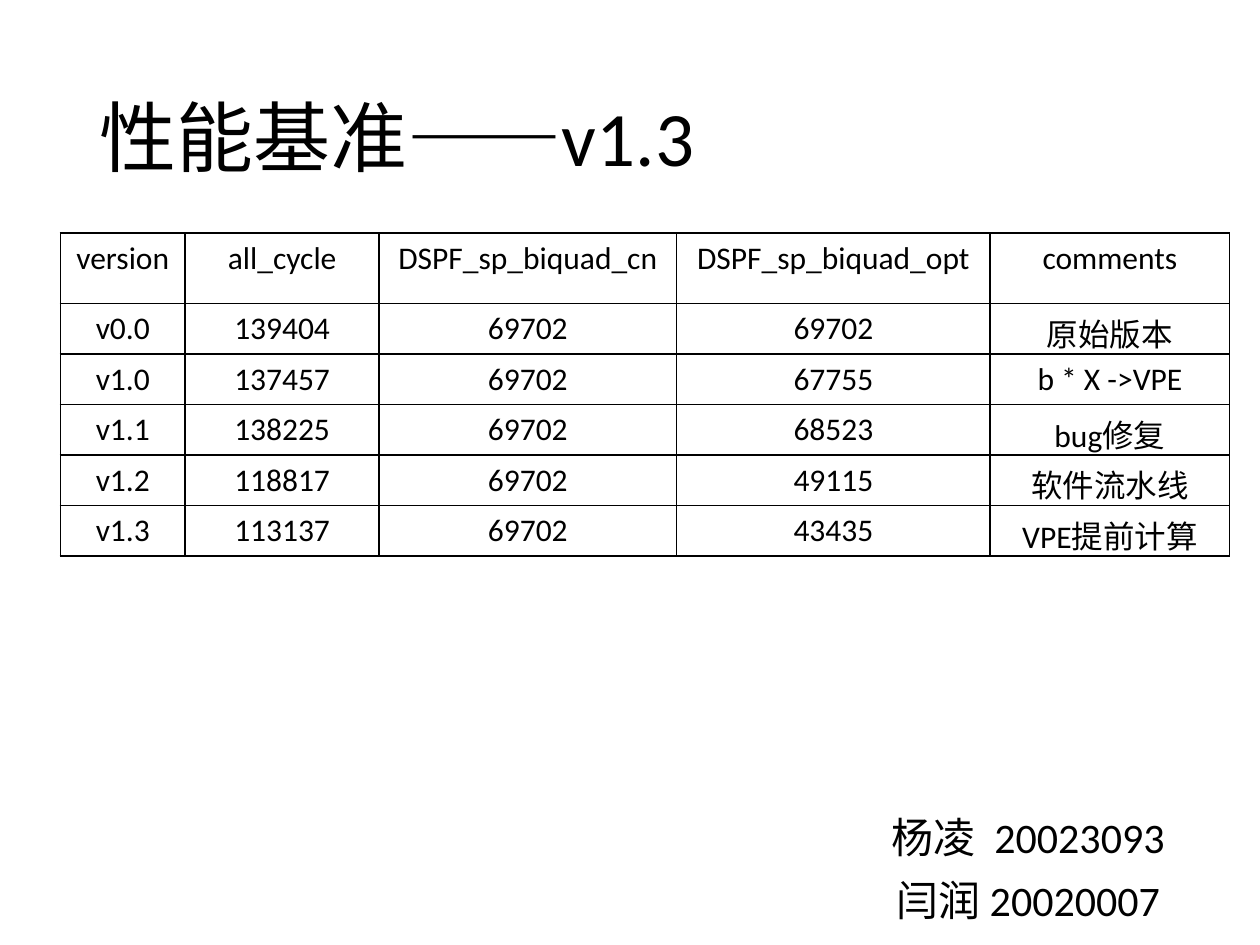
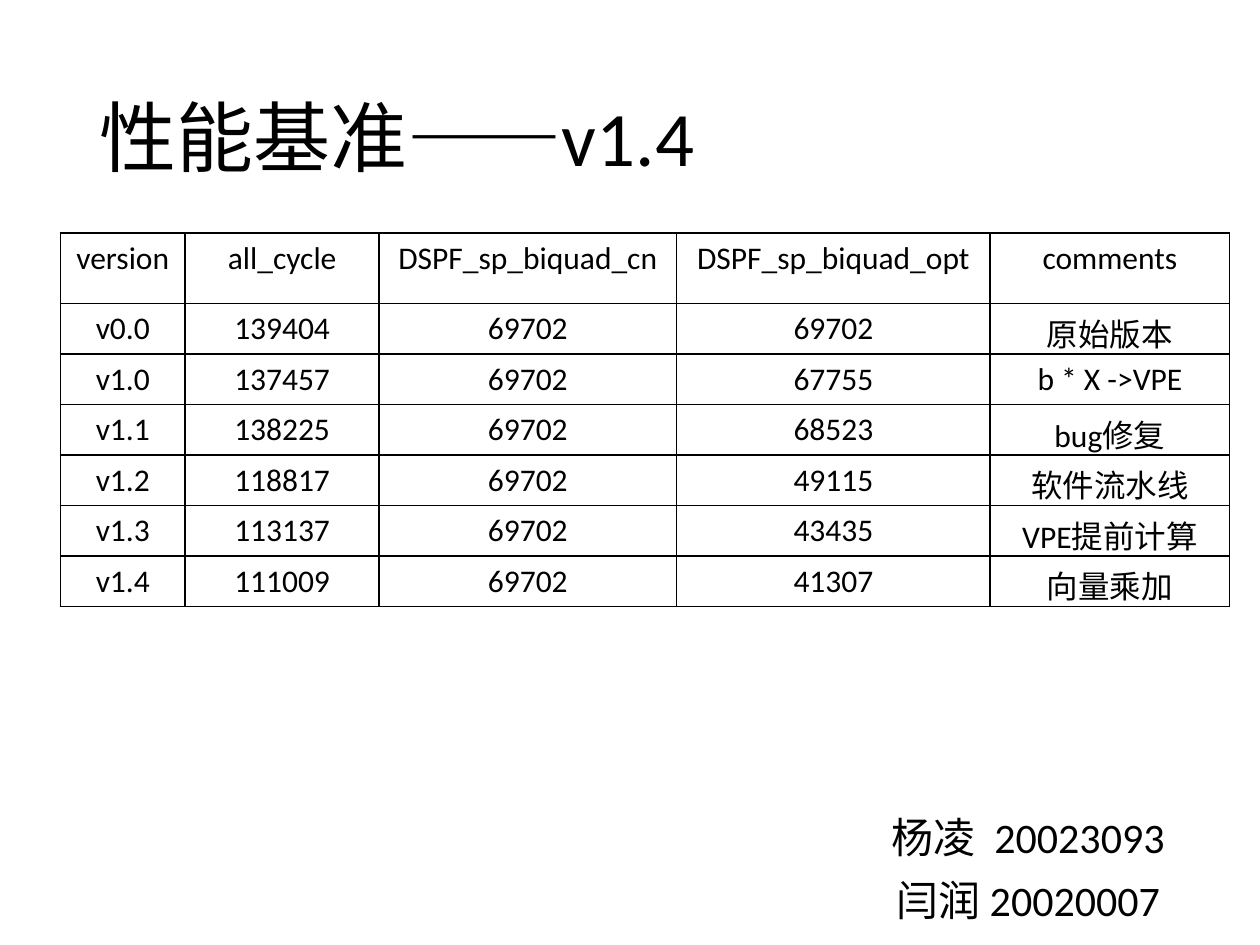
from lxml import etree
from pptx import Presentation
from pptx.dml.color import RGBColor
from pptx.enum.text import MSO_ANCHOR, PP_ALIGN
from pptx.oxml.ns import qn
from pptx.util import Inches, Pt

BLACK = RGBColor(0x00, 0x00, 0x00)
WHITE = RGBColor(0xFF, 0xFF, 0xFF)
FONT = "Calibri"

TITLE_BOX = (0.69, 0.4, 8.62, 1.45)
AUTHORS_BOX = (6.32, 6.44, 3.68, 1.06)
TABLE_LEFT, TABLE_TOP = 0.48, 1.85
COL_WIDTHS = (0.99, 1.54, 2.36, 2.49, 1.9)
HEADER_HEIGHT, ROW_HEIGHT = 0.56, 0.35

TITLE_PARA = {"alignment": PP_ALIGN.LEFT, "line_spacing": 0.9}
AUTHOR_PARA = {"alignment": PP_ALIGN.CENTER, "line_spacing": 0.9, "space_before": Pt(10)}
CELL_PARA = {"alignment": PP_ALIGN.CENTER}

AUTHORS = ("杨凌  20023093", "闫润 20020007")
HEADER = ("version", "all_cycle", "DSPF_sp_biquad_cn", "DSPF_sp_biquad_opt", "comments")
BENCHMARKS = (
    ("v0.0", "139404", "69702", "69702", "原始版本"),
    ("v1.0", "137457", "69702", "67755", "b\u00a0*\u00a0X ->VPE"),
    ("v1.1", "138225", "69702", "68523", "bug修复"),
    ("v1.2", "118817", "69702", "49115", "软件流水线"),
    ("v1.3", "113137", "69702", "43435", "VPE提前计算"),
    ("v1.4", "111009", "69702", "41307", "向量乘加"),
)


def set_attrs(obj, values):
    """Set each named attribute of an object."""
    for name, value in values.items():
        setattr(obj, name, value)


def write_lines(tf, lines, size, para_format):
    """Fill a text frame with one formatted paragraph per line."""
    for i, line in enumerate(lines):
        p = tf.add_paragraph() if i else tf.paragraphs[0]
        set_attrs(p, para_format)
        r = p.add_run()
        r.text = line
        set_attrs(r.font, {"size": Pt(size), "name": FONT})
        r.font.color.rgb = BLACK


def add_borders(cell):
    """Draw a one-point black line on every side of a cell."""
    tc_pr = cell._tc.get_or_add_tcPr()
    for i, side in enumerate(("a:lnL", "a:lnR", "a:lnT", "a:lnB")):
        ln = etree.Element(qn(side), w=str(Pt(1)))
        fill = etree.SubElement(ln, qn("a:solidFill"))
        etree.SubElement(fill, qn("a:srgbClr"), val=str(BLACK))
        tc_pr.insert(i, ln)


def add_title(s, text):
    """Place and fill the title placeholder."""
    sp = s.shapes.title
    set_attrs(sp, dict(zip(("left", "top", "width", "height"), map(Inches, TITLE_BOX))))
    set_attrs(sp.text_frame, {"vertical_anchor": MSO_ANCHOR.MIDDLE, "word_wrap": True})
    write_lines(sp.text_frame, [text], 44, TITLE_PARA)


def add_authors(s):
    """Add the author lines in the bottom right corner."""
    tf = s.shapes.add_textbox(*map(Inches, AUTHORS_BOX)).text_frame
    tf.word_wrap = True
    write_lines(tf, AUTHORS, 24, AUTHOR_PARA)


def add_benchmark_table(s, benchmarks):
    """Add the bordered table of cycle counts per version."""
    rows = (HEADER, *benchmarks)
    heights = [HEADER_HEIGHT] + [ROW_HEIGHT] * len(benchmarks)
    table = s.shapes.add_table(
        len(rows), len(HEADER), Inches(TABLE_LEFT), Inches(TABLE_TOP),
        Inches(sum(COL_WIDTHS)), Inches(sum(heights))).table
    set_attrs(table, {"first_row": False, "horz_banding": False})
    for col, width in zip(table.columns, COL_WIDTHS):
        col.width = Inches(width)
    for row, height, values in zip(table.rows, heights, rows):
        row.height = Inches(height)
        for cell, value in zip(row.cells, values):
            cell.fill.solid()
            cell.fill.fore_color.rgb = WHITE
            add_borders(cell)
            write_lines(cell.text_frame, [value], 18, CELL_PARA)


def add_benchmark_slide(prs, benchmarks):
    """Add the slide that reports all versions up to the latest one."""
    s = prs.slides.add_slide(prs.slide_layouts[5])
    add_authors(s)
    add_title(s, f"性能基准——{benchmarks[-1][0]}")
    add_benchmark_table(s, benchmarks)


def main():
    """Build and save the presentation."""
    prs = Presentation()
    set_attrs(prs, {"slide_width": Inches(10), "slide_height": Inches(7.5)})
    for count in (5, 6):
        add_benchmark_slide(prs, BENCHMARKS[:count])
    prs.save("out.pptx")


main()
